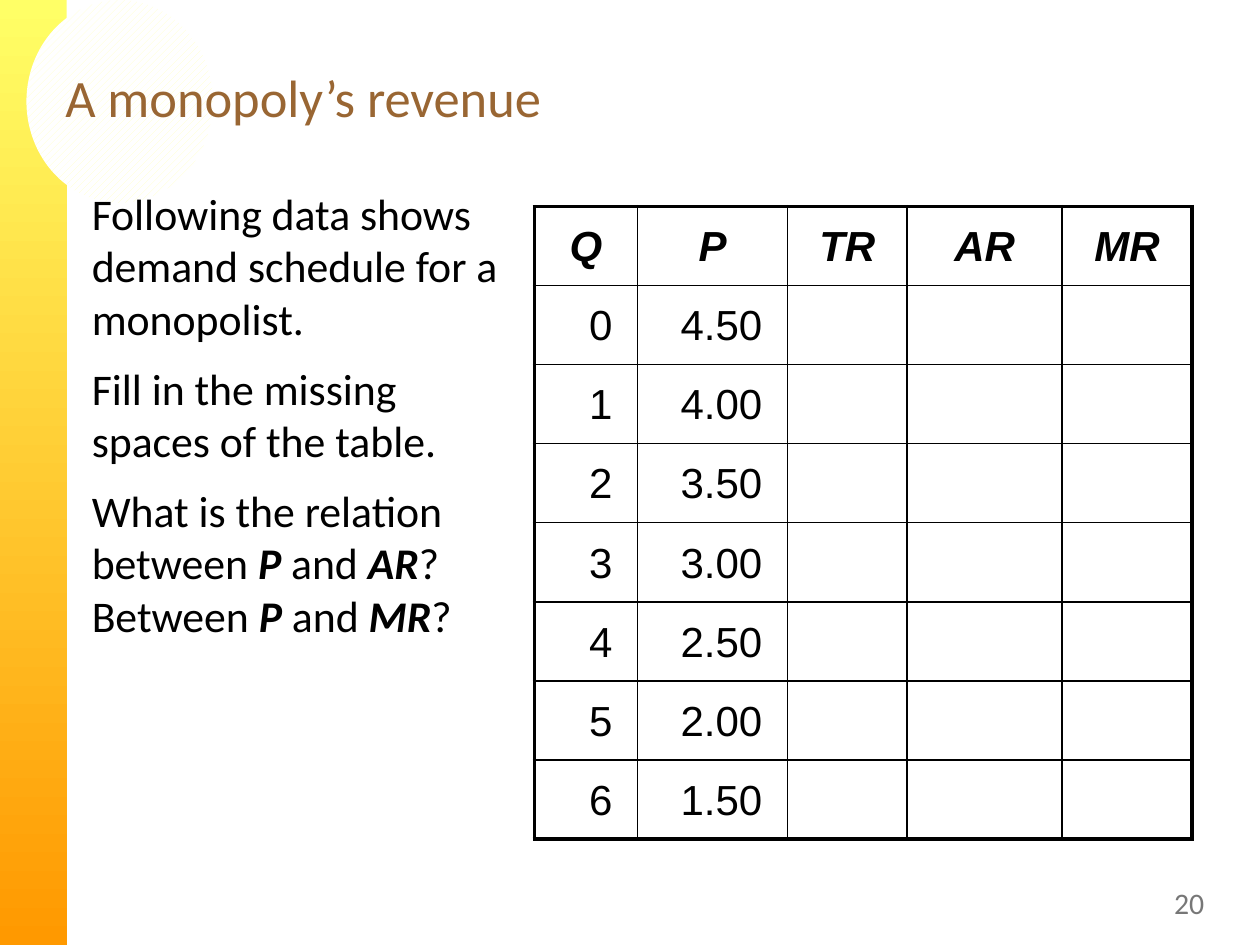
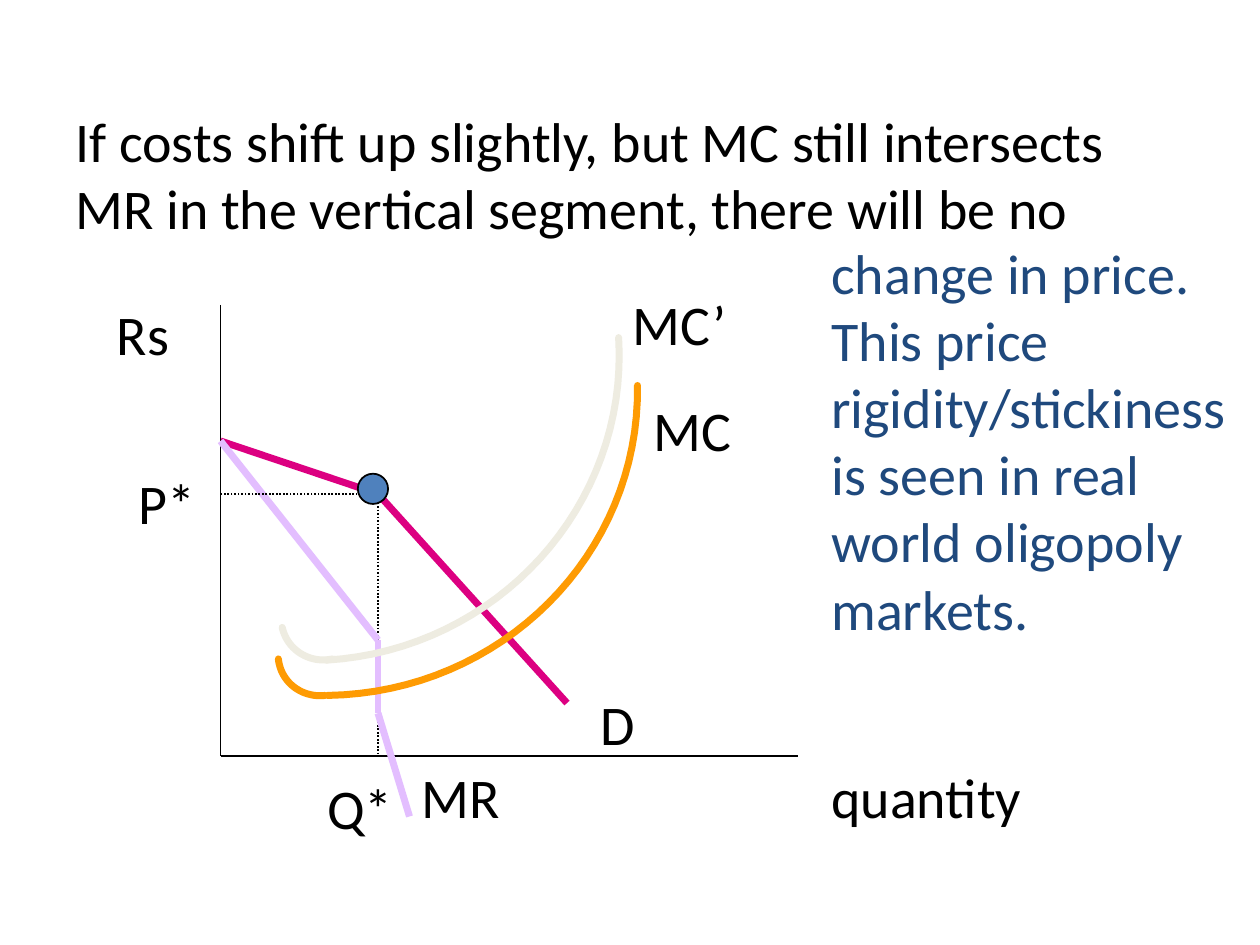
from lxml import etree
from pptx import Presentation
from pptx import util as u
from pptx.dml.color import RGBColor
from pptx.enum import dml, shapes, text
from pptx.oxml.ns import qn

UNIT = u.Inches(1)
COLS, ROWS = 10, 7.5
FONT = "Calibri"
BLACK, WHITE, GREY = "000000", "FFFFFF", "777777"
BROWN, NAVY, BLUE = "996633", "1F497D", "4F81BD"
PINK, LILAC, AMBER, CREAM = "DC0081", "E3BEFF", "FE9B03", "EEECE1"
LEFT, MID, RIGHT = text.PP_ALIGN.LEFT, text.PP_ALIGN.CENTER, text.PP_ALIGN.RIGHT
TOP, CENTRE = text.MSO_ANCHOR.TOP, text.MSO_ANCHOR.MIDDLE


def tint(code):
    return RGBColor.from_string(code)


def grid(*spots):
    return [round(spot * UNIT) for spot in spots]


def add_run(para, words, size, color, strong=False, font=FONT):
    run = para.add_run()
    run.text = words
    run.font.name = font
    run.font.size = u.Pt(size)
    run.font.bold = run.font.italic = strong
    run.font.color.rgb = tint(color)


def add_text(slide, spot, paras, size, color=BLACK, anchor=TOP, gap=0):
    frame = slide.shapes.add_textbox(*grid(*spot)).text_frame
    frame.word_wrap = True
    frame.vertical_anchor = anchor
    for i, parts in enumerate(paras):
        para = frame.add_paragraph() if i else frame.paragraphs[0]
        if i:
            para.space_before = u.Pt(gap)
        for j, words in enumerate(parts):
            add_run(para, words, size, color, j % 2 == 1)


def add_title(slide, spot, words, size, color):
    add_text(slide, spot, [[words]], size, color, CENTRE)


def add_label(slide, x, y, wide, words):
    add_text(slide, (x, y, wide, 0.63), [[words]], 32)


def add_shape(slide, kind, spot):
    shape = slide.shapes.add_shape(kind, *grid(*spot))
    shape.shadow.inherit = False
    shape.line.fill.background()
    return shape


def add_band(slide):
    band = add_shape(slide, shapes.MSO_SHAPE.RECTANGLE, (0, 0, 0.53, ROWS))
    band.fill.gradient()
    band.fill.gradient_angle = 270
    for stop, code in zip(band.fill.gradient_stops, ("FFFF66", "FF9900")):
        stop.color.rgb = tint(code)
    disc = add_shape(slide, shapes.MSO_SHAPE.OVAL, (0.21, 0, 1.48, 1.61))
    disc.fill.patterned()
    disc.fill.pattern = dml.MSO_PATTERN.WIDE_UPWARD_DIAGONAL
    disc.fill.fore_color.rgb = tint("FFFFCC")
    disc.fill.back_color.rgb = tint(WHITE)


def add_edge(cell, side, points):
    edge = etree.SubElement(cell._tc.get_or_add_tcPr(), qn("a:ln" + side), w=str(u.Pt(points)))
    fill = etree.SubElement(edge, qn("a:solidFill"))
    etree.SubElement(fill, qn("a:srgbClr"), val=BLACK)


def add_table(slide, spot, widths, data):
    rows, cols = len(data), len(widths)
    table = slide.shapes.add_table(rows, cols, *grid(*spot)).table
    table.first_row = table.horz_banding = False
    for col, wide in zip(table.columns, widths):
        col.width = grid(wide)[0]
    for r, row in enumerate(data):
        for c, words in enumerate(row):
            cell = table.cell(r, c)
            cell.vertical_anchor = CENTRE
            outer = {"L": c == 0, "R": c == cols - 1, "T": r == 0, "B": r == rows - 1}
            for side, thick in outer.items():
                add_edge(cell, side, 2.25 if thick else 1)
            cell.fill.background()
            if not words:
                continue
            if r:
                cell.margin_right = u.Inches(0.2)
            para = cell.text_frame.paragraphs[0]
            para.alignment = RIGHT if r else MID
            para.line_spacing = 1.05
            add_run(para, words, 24, BLACK, r == 0, "Arial")


def add_line(slide, start, end, color=BLACK, points=1, dots=False):
    line = slide.shapes.add_connector(shapes.MSO_CONNECTOR.STRAIGHT, *grid(*start, *end))
    line.line.color.rgb = tint(color)
    line.line.width = u.Pt(points)
    if dots:
        line.line.dash_style = dml.MSO_LINE.ROUND_DOT
    etree.SubElement(line.element.spPr, qn("a:effectLst"))


def add_path(slide, knots, color, points):
    for start, end in zip(knots, knots[1:]):
        add_line(slide, start, end, color, points)


def add_curve(slide, ends, color, steps=32):
    spots = []
    for i in range(steps + 1):
        t = i / steps
        mix = ((1 - t) ** 3, 3 * t * (1 - t) ** 2, 3 * t * t * (1 - t), t ** 3)
        spots.append(grid(*(sum(m * e[k] for m, e in zip(mix, ends)) for k in (0, 1))))
    pen = slide.shapes.build_freeform(*spots[0])
    pen.add_line_segments(spots[1:], close=False)
    curve = pen.convert_to_shape()
    curve.shadow.inherit = False
    curve.fill.background()
    curve.line.color.rgb = tint(color)
    curve.line.width = u.Pt(4)
    curve.line._get_or_add_ln().set("cap", "rnd")


def draw_sales(slide):
    add_band(slide)
    add_title(slide, (0.42, 0.19, 9, 1.15), "A monopoly’s revenue", 30, BROWN)
    add_text(slide, (0.63, 1.43, 3.55, 5.8), [
        ["Following data shows demand schedule for a monopolist."],
        ["Fill in the missing spaces of the table."],
        ["What is the relation between ", "P", " and ", "AR", "? Between ",
         "P", " and ", "MR", "?"],
    ], 25, gap=10)
    add_text(slide, (9.22, 6.96, 0.67, 0.41), [["20"]], 17, GREY, CENTRE)
    data = [["Q", "P", "TR", "AR", "MR"]]
    data += [[str(q), f"{4.5 - q / 2:.2f}", "", "", ""] for q in range(7)]
    add_table(slide, (4.24, 1.64, 5.22, 5.02), (0.82, 1.19, 0.95, 1.23, 1.03), data)


def draw_kink(slide):
    base, peak, kink = (1.75, 6), (1.75, 3.5), (3, 3.92)
    add_line(slide, (3, 3.99), (3, 6), dots=True)
    add_title(slide, (0.5, 0.75, 9, 1.25),
              "If costs shift up slightly, but MC still intersects MR in the "
              "vertical segment, there will be no", 32, BLACK)
    add_line(slide, (1.75, 2.42), base)
    add_line(slide, base, (6.33, 6))
    add_path(slide, (peak, kink, (4.5, 5.58)), PINK, 4)
    add_path(slide, (peak, (3, 5.08), (3, 5.66), (3.25, 6.48)), LILAC, 4)
    add_line(slide, (2.92, 3.92), (1.75, 3.92), dots=True)
    dot = add_shape(slide, shapes.MSO_SHAPE.OVAL, (2.84, 3.76, 0.24, 0.24))
    dot.fill.solid()
    dot.fill.fore_color.rgb = tint(BLUE)
    dot.line.color.rgb = tint(BLACK)
    dot.line.width = u.Pt(1)
    for color, ends in (
        (AMBER, ((5.06, 3.06), (5.08, 4.4), (3.98, 5.5), (2.6, 5.52))),
        (AMBER, ((2.58, 5.52), (2.4, 5.54), (2.23, 5.42), (2.21, 5.23))),
        (CREAM, ((2.64, 5.23), (2.46, 5.27), (2.28, 5.16), (2.24, 4.98))),
        (CREAM, ((4.91, 2.68), (4.99, 4.01), (3.95, 5.16), (2.59, 5.24))),
    ):
        add_curve(slide, ends, color)
    for label in (
        (6.5, 6, 1.76, "quantity"),
        (4.67, 5.42, 0.51, "D"),
        (3.25, 6, 1.34, "MR"),
        (2.5, 6.09, 0.84, "Q*"),
        (1, 3.67, 0.76, "P*"),
        (5.09, 3.09, 1.01, "MC"),
        (4.92, 2.25, 1.09, "MC’"),
        (0.83, 2.33, 0.85, "Rs"),
    ):
        add_label(slide, *label)
    add_text(slide, (6.5, 1.84, 3.43, 3.33),
             [["change in price. This price rigidity/stickiness is seen in real "
               "world oligopoly markets."]], 32, NAVY)


def main():
    deck = Presentation()
    deck.slide_width, deck.slide_height = grid(COLS, ROWS)
    for draw in (draw_sales, draw_kink):
        draw(deck.slides.add_slide(deck.slide_layouts[6]))
    deck.save("out.pptx")


if __name__ == "__main__":
    main()
